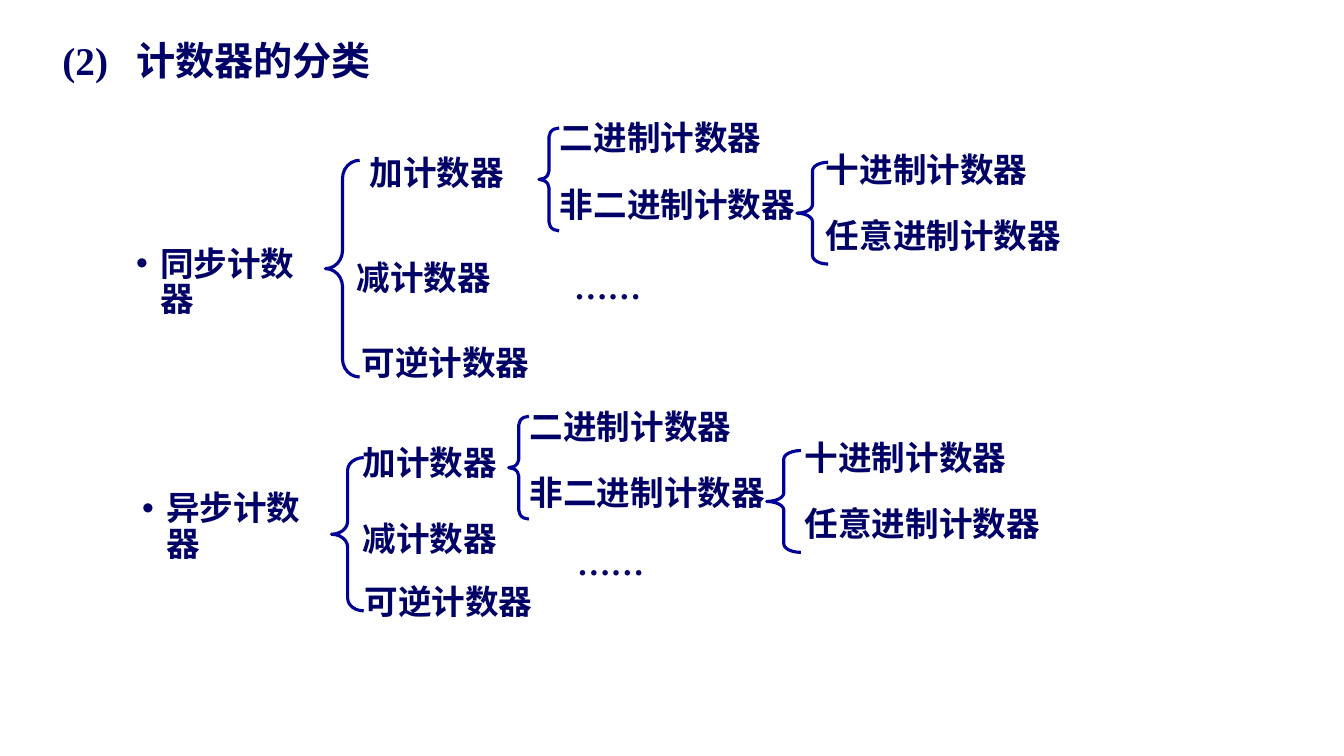
from dataclasses import dataclass

from lxml import etree
from pptx import Presentation
from pptx import util as u
from pptx.dml.color import RGBColor
from pptx.enum import shapes, text
from pptx.oxml import ns

COLORS = {"text": "000066", "line": "000099"}
CJK, LATIN = "Noto Sans CJK SC", "Times New Roman"
ROW_H, ROW_GAP = 0.5, 0.66
BULLET_INDENT = 0.24


@dataclass
class Brace:
    x: float
    y: float
    w: float
    h: float


@dataclass
class Label:
    words: str
    x: float
    y: float
    w: float
    font: str = CJK


@dataclass
class Fork:
    """A brace with two evenly spaced labels, offset from its top left."""
    brace: Brace
    words: tuple[str, str]
    dx: float
    dy: float
    w: float = 2.77

    def labels(self) -> list[Label]:
        b = self.brace
        return [Label(words, b.x + self.dx, b.y + self.dy + i * ROW_GAP, self.w)
                for i, words in enumerate(self.words)]


@dataclass
class Family:
    root: Label
    brace: Brace
    children: list[Label]
    forks: list[Fork]


BINARY = ("二进制计数器", "非二进制计数器")
RADIX = ("十进制计数器", "任意进制计数器")

FAMILIES = [
    Family(Label("同步计数器", 1.25, 2.41, 2.09),
           Brace(3.23, 1.59, 0.34, 2.15),
           [Label("加计数器", 3.57, 1.51, 1.61),
            Label("减计数器", 3.44, 2.55, 1.83),
            Label("可逆计数器", 3.49, 3.4, 1.95),
            Label("……", 5.6, 2.59, 0.92, LATIN)],
           [Fork(Brace(5.35, 1.27, 0.2, 1.02), BINARY, 0.11, -0.1),
            Fork(Brace(7.91, 1.61, 0.31, 1.01), RADIX, 0.19, -0.13)]),
    Family(Label("异步计数器", 1.31, 4.84, 2.09),
           Brace(3.29, 4.54, 0.32, 1.52),
           [Label("加计数器", 3.5, 4.39, 1.77),
            Label("减计数器", 3.5, 5.14, 1.83),
            Label("可逆计数器", 3.52, 5.77, 1.95),
            Label("……", 5.63, 5.33, 0.92, LATIN)],
           [Fork(Brace(5.05, 4.13, 0.2, 1.02), BINARY, 0.11, -0.1),
            Fork(Brace(7.61, 4.47, 0.34, 1.01), RADIX, 0.28, -0.13)]),
]


def add_run(p, words: str, *, font: str = CJK, size: float = 24,
            color: str = "text", bold: bool = True) -> None:
    r = p.add_run()
    r.text = words
    r.font.name, r.font.size, r.font.bold = font, u.Pt(size), bold
    r.font.color.rgb = RGBColor.from_string(COLORS[color])
    etree.SubElement(r.font._element, ns.qn("a:ea"), typeface=font)


def place(sp, x: float, y: float, w: float, h: float = ROW_H):
    """Move a text shape and return its formatted first paragraph."""
    sp.left, sp.top, sp.width, sp.height = map(u.Inches, (x, y, w, h))
    tf = sp.text_frame
    tf.word_wrap = True
    tf.auto_size = text.MSO_AUTO_SIZE.NONE
    tf.vertical_anchor = text.MSO_ANCHOR.TOP
    p = tf.paragraphs[0]
    p.alignment = text.PP_ALIGN.LEFT
    p.space_before = u.Pt(0)
    return p


def add_label(sp, label: Label, bullet: bool = False) -> None:
    p = place(sp, label.x, label.y, label.w)
    if label.font == CJK:
        p.line_spacing = 0.87
    if bullet:
        pPr = p._p.get_or_add_pPr()
        indent = u.Inches(BULLET_INDENT)
        pPr.set("marL", str(indent))
        pPr.set("indent", str(-indent))
        etree.SubElement(pPr, ns.qn("a:buChar"), char="•")
    add_run(p, label.words, font=label.font)


def add_brace(s, b: Brace) -> None:
    sp = s.shapes.add_shape(shapes.MSO_SHAPE.LEFT_BRACE,
                            *map(u.Inches, (b.x, b.y, b.w, b.h)))
    sp.adjustments[0] = b.h / 12 / b.w  # curves take a twelfth of the height
    sp.shadow.inherit = False
    sp.fill.background()
    sp.line.color.rgb = RGBColor.from_string(COLORS["line"])
    sp.line.width = u.Pt(2.25)


def add_title(sp) -> None:
    p = place(sp, 0.52, 0.37, 4.41, 0.57)
    p.line_spacing = 0.87
    tabs = etree.SubElement(p._p.get_or_add_pPr(), ns.qn("a:tabLst"))
    etree.SubElement(tabs, ns.qn("a:tab"), pos=str(u.Inches(0.73)), algn="l")
    add_run(p, "(2)\t", font=LATIN, size=28)
    add_run(p, "计数器的分类", size=28)


def main() -> None:
    prs = Presentation()
    prs.slide_width, prs.slide_height = u.Inches(13.34), u.Inches(7.5)
    s = prs.slides.add_slide(prs.slide_layouts[3])  # title and two lists

    # Title
    add_title(s.shapes.title)

    # Counter families, each a tree opening to the right
    for family, body in zip(FAMILIES, list(s.placeholders)[1:]):
        add_label(body, family.root, bullet=True)
        labels = family.children + [
            label for fork in family.forks for label in fork.labels()]
        for label in labels:
            add_label(s.shapes.add_textbox(0, 0, 0, 0), label)
        for brace in [family.brace, *(fork.brace for fork in family.forks)]:
            add_brace(s, brace)

    prs.save("out.pptx")


if __name__ == "__main__":
    main()
